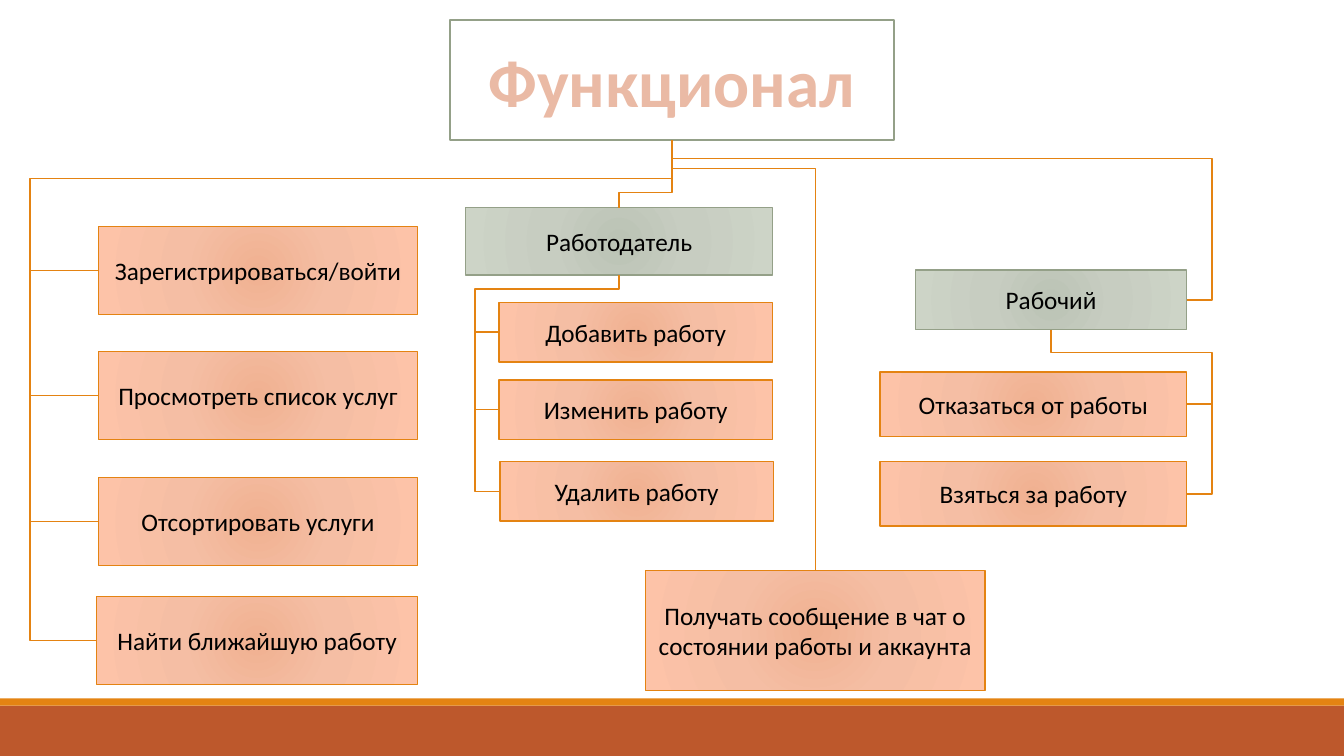
from lxml import etree
from pptx import Presentation
from pptx.dml.color import RGBColor
from pptx.enum.shapes import MSO_CONNECTOR, MSO_SHAPE
from pptx.enum.text import MSO_ANCHOR, PP_ALIGN
from pptx.oxml import parse_xml
from pptx.oxml.ns import qn
from pptx.util import Inches, Pt

RECT = MSO_SHAPE.RECTANGLE
ELBOW, STRAIGHT = MSO_CONNECTOR.ELBOW, MSO_CONNECTOR.STRAIGHT
CENTER, MIDDLE = PP_ALIGN.CENTER, MSO_ANCHOR.MIDDLE
TOP, LEFT, BOTTOM, RIGHT = range(4)

ORANGE = RGBColor(0xE4, 0x83, 0x12)
RUST = RGBColor(0xBD, 0x58, 0x2C)
SAGE = RGBColor(0x94, 0xA0, 0x88)
PEACH = RGBColor(0xEA, 0xBA, 0xA5)
WHITE = RGBColor(0xFF, 0xFF, 0xFF)
BLACK = RGBColor(0, 0, 0)
FONT = "Calibri"
NS = 'xmlns:a="http://schemas.openxmlformats.org/drawingml/2006/main"'

# Box styles: gradient stops and border colour
ACTION = (("F0B191", "F5BEA4", "FDC3A8"), ORANGE)
ROLE = (("BBC3B5", "C7CDC1", "CDD4C7"), SAGE)

# Content: footer bands, title, then boxes as name: (text, style, left, top, width, height)
BANDS = [(7, 0.5, RUST), (6.93, 0.07, ORANGE)]
TITLE = ("Функционал", 4.46, 0.2, 4.41, 1.19)
BOXES = {
    "login": ("Зарегистрироваться/войти", ACTION, 0.98, 2.25, 3.16, 0.87),
    "browse": ("Просмотреть список услуг", ACTION, 0.98, 3.49, 3.16, 0.87),
    "sort": ("Отсортировать услуги", ACTION, 0.98, 4.74, 3.16, 0.87),
    "nearest": ("Найти ближайшую работу", ACTION, 0.96, 5.92, 3.18, 0.87),
    "employer": ("Работодатель", ROLE, 4.62, 2.06, 3.04, 0.67),
    "add": ("Добавить работу", ACTION, 4.95, 3, 2.71, 0.59),
    "edit": ("Изменить работу", ACTION, 4.95, 3.77, 2.71, 0.59),
    "delete": ("Удалить работу", ACTION, 4.96, 4.58, 2.71, 0.59),
    "worker": ("Рабочий", ROLE, 9.08, 2.68, 2.69, 0.59),
    "refuse": ("Отказаться от работы", ACTION, 8.73, 3.69, 3.04, 0.64),
    "accept": ("Взяться за работу", ACTION, 8.73, 4.58, 3.04, 0.64),
    "message": ("Получать сообщение в чат о состоянии работы и аккаунта",
                ACTION, 6.4, 5.66, 3.37, 1.19),
}

# Elbow links: parent, child, side of child, y of first turn, x of trunk (if any)
ELBOWS = [
    ("title", "nearest", LEFT, 1.77, 0.3),
    ("title", "employer", TOP, 1.91, None),
    ("title", "worker", RIGHT, 1.57, 12.02),
    ("title", "message", TOP, 1.67, None),
    ("employer", "delete", LEFT, 2.87, 4.71),
    ("worker", "accept", RIGHT, 3.5, 12.02),
]
# Branches from a box side to its trunk
BRANCHES = [
    ("login", LEFT, 0.3), ("browse", LEFT, 0.3), ("sort", LEFT, 0.3),
    ("add", LEFT, 4.71), ("edit", LEFT, 4.71), ("refuse", RIGHT, 12.02),
]


def add_box(text, left, top, width, height, size, color, border, border_width):
    sp = slide.shapes.add_shape(RECT, Inches(left), Inches(top), Inches(width), Inches(height))
    sp.shadow.inherit = False
    sp.line.color.rgb = border
    sp.line.width = Pt(border_width)
    tf = sp.text_frame
    tf.word_wrap = True
    tf.vertical_anchor = MIDDLE
    p = tf.paragraphs[0]
    p.text = text
    p.alignment = CENTER
    font = p.runs[0].font
    font.name, font.size, font.color.rgb = FONT, Pt(size), color
    return sp


def radial_fill(sp, colors):
    stops = "".join(f'<a:gs pos="{pos}000"><a:srgbClr val="{c}"/></a:gs>'
                    for pos, c in zip((0, 45, 100), colors))
    grad = parse_xml(
        f'<a:gradFill {NS} rotWithShape="1"><a:gsLst>{stops}</a:gsLst><a:path path="circle">'
        '<a:fillToRect l="100000" t="100000" r="100000" b="100000"/></a:path></a:gradFill>')
    sp._element.spPr.find(qn("a:prstGeom")).addnext(grad)


def side_point(sp, side):
    x = sp.left + {LEFT: 0, RIGHT: sp.width}.get(side, sp.width // 2)
    y = sp.top + {TOP: 0, BOTTOM: sp.height}.get(side, sp.height // 2)
    return x, y


def add_line(kind, start, end):
    cn = slide.shapes.add_connector(kind, *start, *end)
    cn.line.color.rgb = ORANGE
    cn.line.width = Pt(1)
    etree.SubElement(cn._element.spPr, qn("a:effectLst"))
    return cn


def add_elbow(parent, child, side, turn_y, trunk_x):
    (x1, y1), (x2, y2) = side_point(parent, BOTTOM), side_point(child, side)
    cn = add_line(ELBOW, (x1, y1), (x2, y2))
    cn.begin_connect(parent, BOTTOM)
    cn.end_connect(child, side)
    # The frame is turned a quarter, so that the link leaves downwards
    dx, dy = x2 - x1, y2 - y1
    cn.width, cn.height = dy, abs(dx)
    cn.left, cn.top = (x1 + x2 - dy) // 2, (y1 + y2 - abs(dx)) // 2
    xfrm = cn._element.spPr.find(qn("a:xfrm"))
    xfrm.set("rot", str((90 if dx < 0 else 270) * 60000))
    xfrm.set("flipH", "0" if dx < 0 else "1")
    xfrm.set("flipV", "0")
    # Bends as shares of the frame
    bends = [(Inches(turn_y) - y1) / dy]
    if trunk_x is not None:
        bends.append((Inches(trunk_x) - x1) / dx)
    geom = cn._element.spPr.find(qn("a:prstGeom"))
    geom.set("prst", f"bentConnector{len(bends) + 2}")
    guides = geom.find(qn("a:avLst"))
    if guides is None:
        guides = etree.SubElement(geom, qn("a:avLst"))
    for n, bend in enumerate(bends, 1):
        etree.SubElement(guides, qn("a:gd"), name=f"adj{n}", fmla=f"val {round(bend * 100000)}")


prs = Presentation()
prs.slide_width, prs.slide_height = Inches(13.33), Inches(7.5)
slide = prs.slides.add_slide(prs.slide_layouts[6])

# Footer bands
for top, height, color in BANDS:
    sp = slide.shapes.add_shape(RECT, 0, Inches(top), prs.slide_width, Inches(height))
    sp.shadow.inherit = False
    sp.fill.solid()
    sp.fill.fore_color.rgb = color
    sp.line.fill.background()

# Title with outlined letters
title = add_box(*TITLE, 48, PEACH, SAGE, 1.25)
title.fill.solid()
title.fill.fore_color.rgb = WHITE
r = title.text_frame.paragraphs[0].runs[0]
r.font.bold = True
r.font._element.insert(0, parse_xml(
    f'<a:ln {NS} w="{Pt(1.75)}"><a:solidFill><a:srgbClr val="{RUST}"/></a:solidFill></a:ln>'))

# Boxes
shapes = {"title": title}
for name, (text, (colors, border), *place) in BOXES.items():
    shapes[name] = add_box(text, *place, 18, BLACK, border, 1)
    radial_fill(shapes[name], colors)

# Links
for parent, child, side, turn_y, trunk_x in ELBOWS:
    add_elbow(shapes[parent], shapes[child], side, turn_y, trunk_x)
for name, side, trunk_x in BRANCHES:
    x, y = side_point(shapes[name], side)
    add_line(STRAIGHT, (x, y), (Inches(trunk_x), y)).begin_connect(shapes[name], side)

prs.save("out.pptx")
